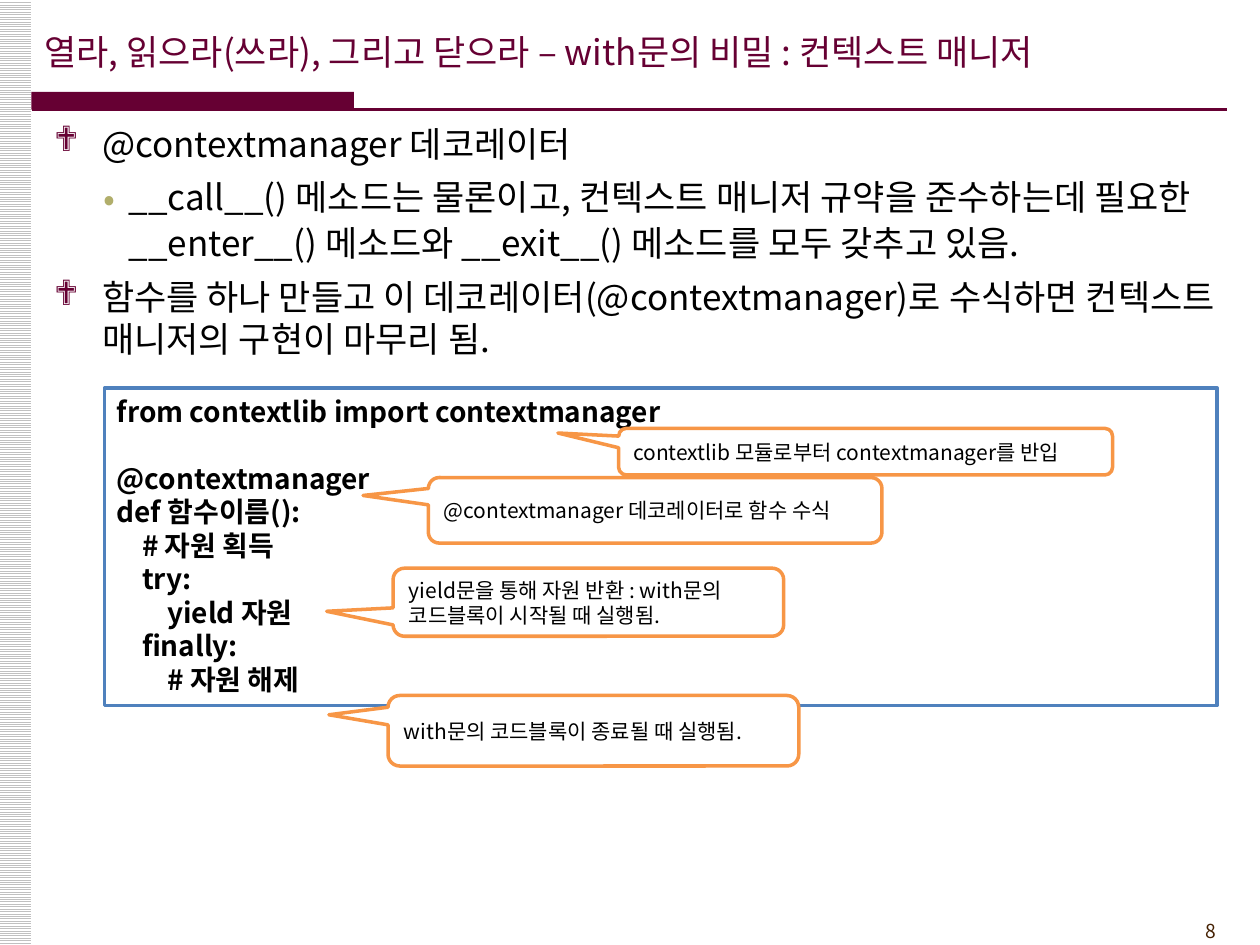
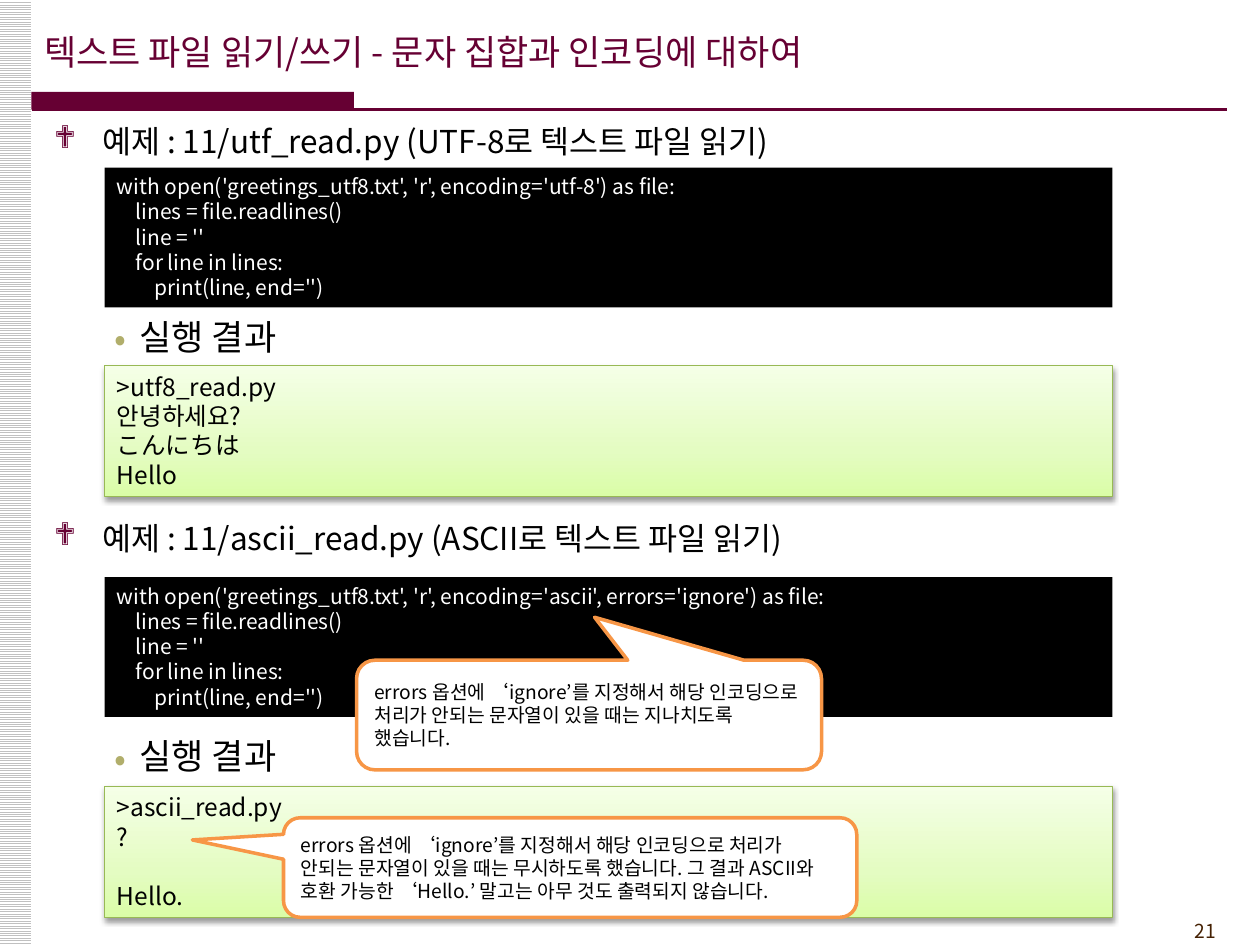
from copy import deepcopy
from dataclasses import dataclass
from typing import NamedTuple, Optional

from lxml.etree import SubElement
from pptx import Presentation
from pptx.dml.color import RGBColor
from pptx.enum.dml import MSO_PATTERN
from pptx.enum.shapes import MSO_CONNECTOR, MSO_SHAPE
from pptx.enum.text import MSO_ANCHOR, MSO_AUTO_SIZE, PP_ALIGN
from pptx.oxml.ns import qn
from pptx.util import Inches, Pt

RECTANGLE = MSO_SHAPE.RECTANGLE
CALLOUT = MSO_SHAPE.ROUNDED_RECTANGULAR_CALLOUT
STRAIGHT = MSO_CONNECTOR.STRAIGHT
LIGHT_HORIZONTAL = MSO_PATTERN.LIGHT_HORIZONTAL
LEFT, RIGHT = PP_ALIGN.LEFT, PP_ALIGN.RIGHT
TOP, MIDDLE = MSO_ANCHOR.TOP, MSO_ANCHOR.MIDDLE
FIXED = MSO_AUTO_SIZE.NONE

FONT = "Noto Sans CJK KR"
BLACK = RGBColor(0x00, 0x00, 0x00)
WHITE = RGBColor(0xFF, 0xFF, 0xFF)
WINE = RGBColor(0x66, 0x00, 0x33)
OLIVE = RGBColor(0xB1, 0xAE, 0x6B)
BROWN = RGBColor(0x45, 0x21, 0x03)
SILVER = RGBColor(0xC0, 0xC0, 0xC0)
BLUE = RGBColor(0x4F, 0x81, 0xBD)
ORANGE = RGBColor(0xF7, 0x96, 0x46)
GREEN = RGBColor(0x98, 0xB9, 0x55)
GREEN_STOPS = (
    (0, RGBColor(0xDA, 0xFD, 0xA7)),
    (0.35, RGBColor(0xE4, 0xFC, 0xC2)),
    (1, RGBColor(0xF5, 0xFF, 0xE7)),
)

INDENT_PER_POINT = 0.0125  # width of four spaces, in inches per point of size
PANEL_LEFT, PANEL_WIDTH = 0.83, 8
SOURCE_HEIGHT, RESULT_HEIGHT = 1.11, 1.04


class Box(NamedTuple):
    left: float
    top: float
    width: float
    height: float

    def lengths(self) -> list:
        return [Inches(value) for value in self]


@dataclass(frozen=True)
class Bullet:
    symbol: str
    font: str
    color: RGBColor
    level: int
    margin: float
    hanging: float
    spacing: float
    after: float


MAIN = Bullet("❖", "Wingdings", WINE, 0, 0.38, 0.38, 1.0, 0)
SUB = Bullet("•", FONT, OLIVE, 1, 0.59, 0.2, 1.1, 3)


class Line(NamedTuple):
    text: str
    depth: int = 0
    before: float = 0
    bullet: Optional[Bullet] = None


@dataclass(frozen=True)
class Remark:
    text: str
    box: Box
    tip: tuple[float, float]
    size: int = 12


def set_bullet(paragraph, bullet: Bullet) -> None:
    paragraph.level = bullet.level
    properties = paragraph._p.get_or_add_pPr()
    properties.set("marL", str(Inches(bullet.margin)))
    properties.set("indent", str(-Inches(bullet.hanging)))
    color = SubElement(properties, qn("a:buClr"))
    SubElement(color, qn("a:srgbClr"), val=str(bullet.color))
    SubElement(properties, qn("a:buFont"), typeface=bullet.font)
    SubElement(properties, qn("a:buChar"), char=bullet.symbol)


def write(frame, lines, *, size: int, color: RGBColor = BLACK, bold: bool = False,
          align=LEFT, anchor=TOP, inset: float = 0.05) -> None:
    frame.auto_size = FIXED
    frame.word_wrap = True
    frame.vertical_anchor = anchor
    frame.margin_left = frame.margin_right = Inches(0.1)
    frame.margin_top = frame.margin_bottom = Inches(inset)
    for number, line in enumerate(lines):
        paragraph = frame.add_paragraph() if number else frame.paragraphs[0]
        bullet = line.bullet
        paragraph.alignment = align
        paragraph.line_spacing = bullet.spacing if bullet else 1.0
        paragraph.space_before = Pt(line.before + (size * 0.2 if bullet else 0))
        paragraph.space_after = Pt(bullet.after if bullet else 0)
        if bullet:
            set_bullet(paragraph, bullet)
        elif line.depth:
            indent = Inches(line.depth * size * INDENT_PER_POINT)
            paragraph._p.get_or_add_pPr().set("marL", str(indent))
        run = paragraph.add_run()
        run.text = line.text
        run.font.size = Pt(size)
        run.font.bold = bold
        run.font.color.rgb = color
        run.font.name = FONT


def add_panel(slide, box: Box, fill: Optional[RGBColor] = None,
              line: Optional[RGBColor] = None, line_width: float = 2, kind=RECTANGLE):
    """Add a shadowless shape; without a fill colour the caller fills it."""
    panel = slide.shapes.add_shape(kind, *box.lengths())
    panel.shadow.inherit = False
    if fill is not None:
        panel.fill.solid()
        panel.fill.fore_color.rgb = fill
    if line is None:
        panel.line.fill.background()
    else:
        panel.line.color.rgb = line
        panel.line.width = Pt(line_width)
    return panel


def add_source(slide, top: float, lines) -> None:
    box = Box(PANEL_LEFT, top, PANEL_WIDTH, SOURCE_HEIGHT)
    write(add_panel(slide, box, BLACK).text_frame, lines, size=12, color=WHITE)


def add_result(slide, top: float, lines) -> None:
    """Add the green panel with the output of a program."""
    box = Box(PANEL_LEFT, top, PANEL_WIDTH, RESULT_HEIGHT)
    panel = add_panel(slide, box, line=GREEN, line_width=0.75)
    panel.fill.gradient()
    panel.fill.gradient_angle = 90
    properties = panel._element.spPr
    stops = properties.find(".//" + qn("a:gsLst"))
    stops.append(deepcopy(stops[-1]))
    for stop, (position, color) in zip(panel.fill.gradient_stops, GREEN_STOPS):
        stop.position = position
        stop.color.rgb = color
    shadow = SubElement(properties.find(qn("a:effectLst")), qn("a:outerShdw"),
                        blurRad=str(Pt(3.1)), dist=str(Pt(1.6)),
                        dir="5400000", rotWithShape="0")
    shade = SubElement(shadow, qn("a:srgbClr"), val=str(BLACK))
    SubElement(shade, qn("a:alpha"), val="38000")
    write(panel.text_frame, lines, size=14)


def add_result_heading(slide, top: float) -> None:
    heading = slide.shapes.add_textbox(*Box(0.42, top, 2.42, 0.39).lengths())
    write(heading.text_frame, [Line("실행 결과", bullet=SUB)], size=20)


def add_remark(slide, remark: Remark) -> None:
    callout = add_panel(slide, remark.box, WHITE, ORANGE, kind=CALLOUT)
    callout.adjustments[0], callout.adjustments[1] = remark.tip
    callout.adjustments[2] = 0.167
    write(callout.text_frame, [Line(remark.text)], size=remark.size, anchor=MIDDLE, inset=0)


def place(placeholder, box: Box) -> None:
    placeholder.left, placeholder.top, placeholder.width, placeholder.height = box.lengths()


def start_slide(deck, number: int, title: str, points, point_size: int):
    """Add a slide with the side stripe, title band, page number and list."""
    slide = deck.slides.add_slide(deck.slide_layouts[1])
    heading, body = slide.shapes.title, slide.placeholders[1]
    place(heading, Box(0.25, 0.09, 8.27, 0.63))
    place(body, Box(0.33, 0.92, 9.5, 6.25))
    write(heading.text_frame, [Line(title)], size=20, color=WINE, anchor=MIDDLE)
    write(body.text_frame, points, size=point_size)

    stripe = add_panel(slide, Box(-0.01, 0, 0.26, 7.5))
    stripe.fill.patterned()
    stripe.fill.pattern = LIGHT_HORIZONTAL
    stripe.fill.fore_color.rgb = SILVER
    stripe.fill.back_color.rgb = WHITE
    add_panel(slide, Box(0.25, 0.73, 2.56, 0.14), WINE)
    rule = slide.shapes.add_connector(
        STRAIGHT, Inches(0.25), Inches(0.87), Inches(9.74), Inches(0.87))
    rule.line.color.rgb = WINE
    rule.line.width = Pt(1.5)
    SubElement(rule._element.spPr, qn("a:effectLst"))
    page = slide.shapes.add_textbox(*Box(8.92, 7.25, 0.83, 0.29).lengths())
    write(page.text_frame, [Line(str(number))], size=11, color=BROWN, align=RIGHT)
    return slide


def reading_program(open_call: str) -> list[Line]:
    return [
        Line(f"with {open_call} as file:"),
        Line("lines = file.readlines()", 1),
        Line("line = ''", 1),
        Line("for line in lines:", 1),
        Line("print(line, end='')", 2),
    ]


def build_context_manager(deck) -> None:
    slide = start_slide(
        deck, 8, "열라, 읽으라(쓰라), 그리고 닫으라 – with문의 비밀 : 컨텍스트 매니저",
        [
            Line("@contextmanager 데코레이터", bullet=MAIN),
            Line("__call__() 메소드는 물론이고, 컨텍스트 매니저 규약을 준수하는데 필요한 "
                 "__enter__() 메소드와 __exit__() 메소드를 모두 갖추고 있음.", bullet=SUB),
            Line("함수를 하나 만들고 이 데코레이터(@contextmanager)로 수식하면 "
                 "컨텍스트 매니저의 구현이 마무리 됨.", bullet=MAIN),
        ], 20)
    skeleton = add_panel(slide, Box(PANEL_LEFT, 3.08, 8.83, 2.52), WHITE, BLUE)
    write(skeleton.text_frame, [
        Line("from contextlib import contextmanager"),
        Line("@contextmanager", before=19),
        Line("def 함수이름():"),
        Line("# 자원 획득", 1),
        Line("try:", 1),
        Line("yield 자원", 2),
        Line("finally:", 1),
        Line("# 자원 해제", 2),
    ], size=16, bold=True)
    for remark in (
        Remark("contextlib 모듈로부터 contextmanager를 반입",
               Box(4.91, 3.4, 3.92, 0.37), (-0.623, -0.399)),
        Remark("@contextmanager 데코레이터로 함수 수식",
               Box(3.4, 3.79, 3.6, 0.52), (-0.644, -0.226)),
        Remark("yield문을 통해 자원 반환 : with문의 코드블록이 시작될 때 실행됨.",
               Box(3.12, 4.51, 3.1, 0.54), (-0.67, 0.134)),
        Remark("with문의 코드블록이 종료될 때 실행됨.",
               Box(3.08, 5.52, 3.26, 0.56), (-0.644, -0.226)),
    ):
        add_remark(slide, remark)


def build_encodings(deck) -> None:
    slide = start_slide(
        deck, 21, "텍스트 파일 읽기/쓰기 - 문자 집합과 인코딩에 대하여",
        [
            Line("예제 : 11/utf_read.py (UTF-8로 텍스트 파일 읽기)", bullet=MAIN),
            Line("예제 : 11/ascii_read.py (ASCII로 텍스트 파일 읽기)", before=201.6, bullet=MAIN),
        ], 18)
    add_source(slide, 1.33, reading_program("open('greetings_utf8.txt', 'r', encoding='utf-8')"))
    add_result_heading(slide, 2.42)
    add_result(slide, 2.9, [
        Line(">utf8_read.py"), Line("안녕하세요?"), Line("こんにちは"), Line("Hello")])
    add_source(slide, 4.58, reading_program(
        "open('greetings_utf8.txt', 'r', encoding='ascii', errors='ignore')"))
    add_result_heading(slide, 5.75)
    add_result(slide, 6.24, [
        Line(">ascii_read.py"), Line("?"), Line("Hello.", before=17)])
    for remark in (
        Remark("errors 옵션에 ‘ignore’를 지정해서 해당 인코딩으로 처리가 안되는 문자열이 "
               "있을 때는 지나치도록 했습니다.",
               Box(2.83, 5.24, 3.69, 0.87), (0.012, -0.892), 11),
        Remark("errors 옵션에 ‘ignore’를 지정해서 해당 인코딩으로 처리가 안되는 문자열이 "
               "있을 때는 무시하도록 했습니다. 그 결과 ASCII와 호환 가능한 ‘Hello.’ "
               "말고는 아무 것도 출력되지 않습니다.",
               Box(2.25, 6.49, 4.55, 0.79), (-0.659, -0.277), 11),
    ):
        add_remark(slide, remark)


def main() -> None:
    deck = Presentation()
    deck.slide_width, deck.slide_height = Inches(10), Inches(7.5)
    build_context_manager(deck)
    build_encodings(deck)
    deck.save("out.pptx")


if __name__ == "__main__":
    main()
